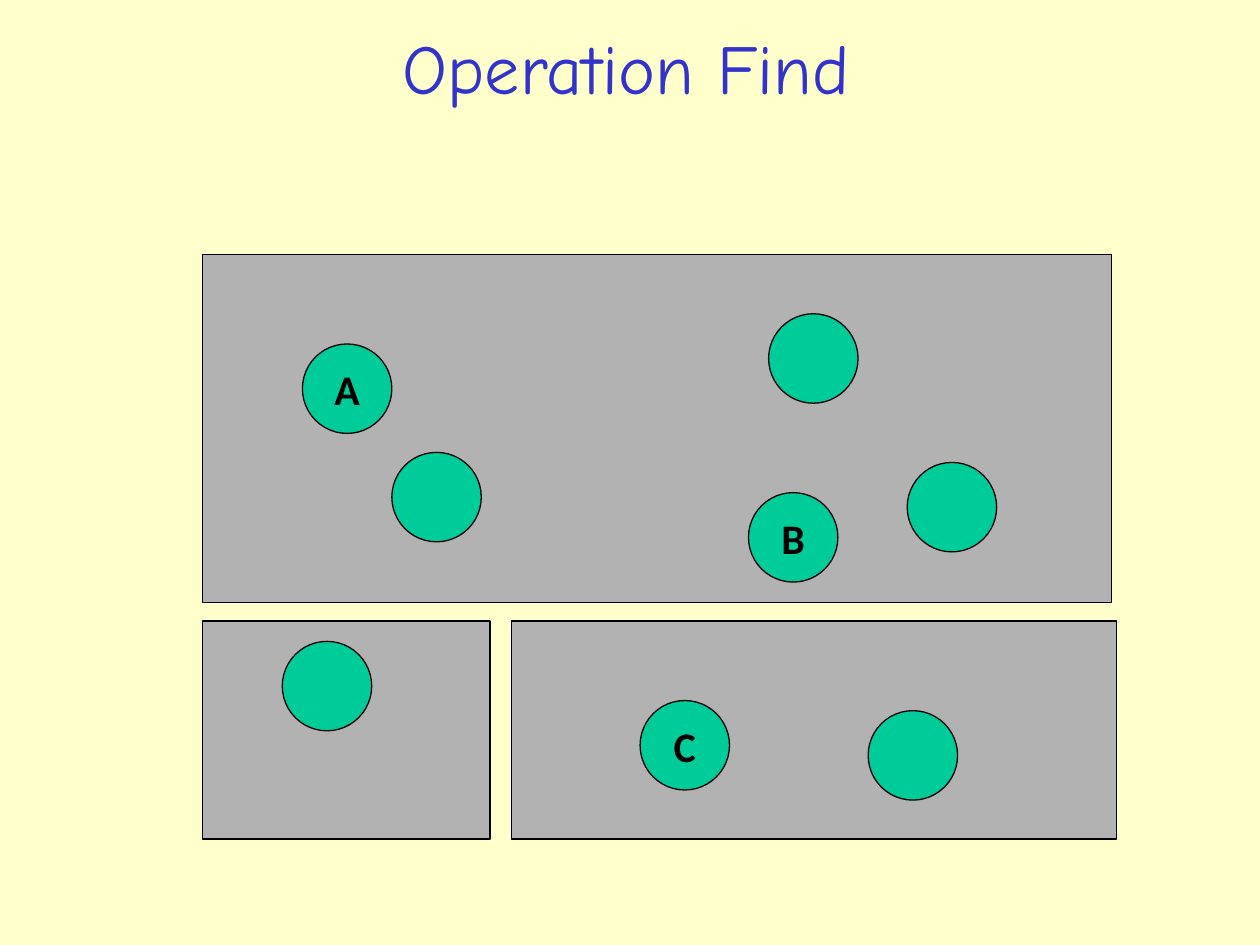
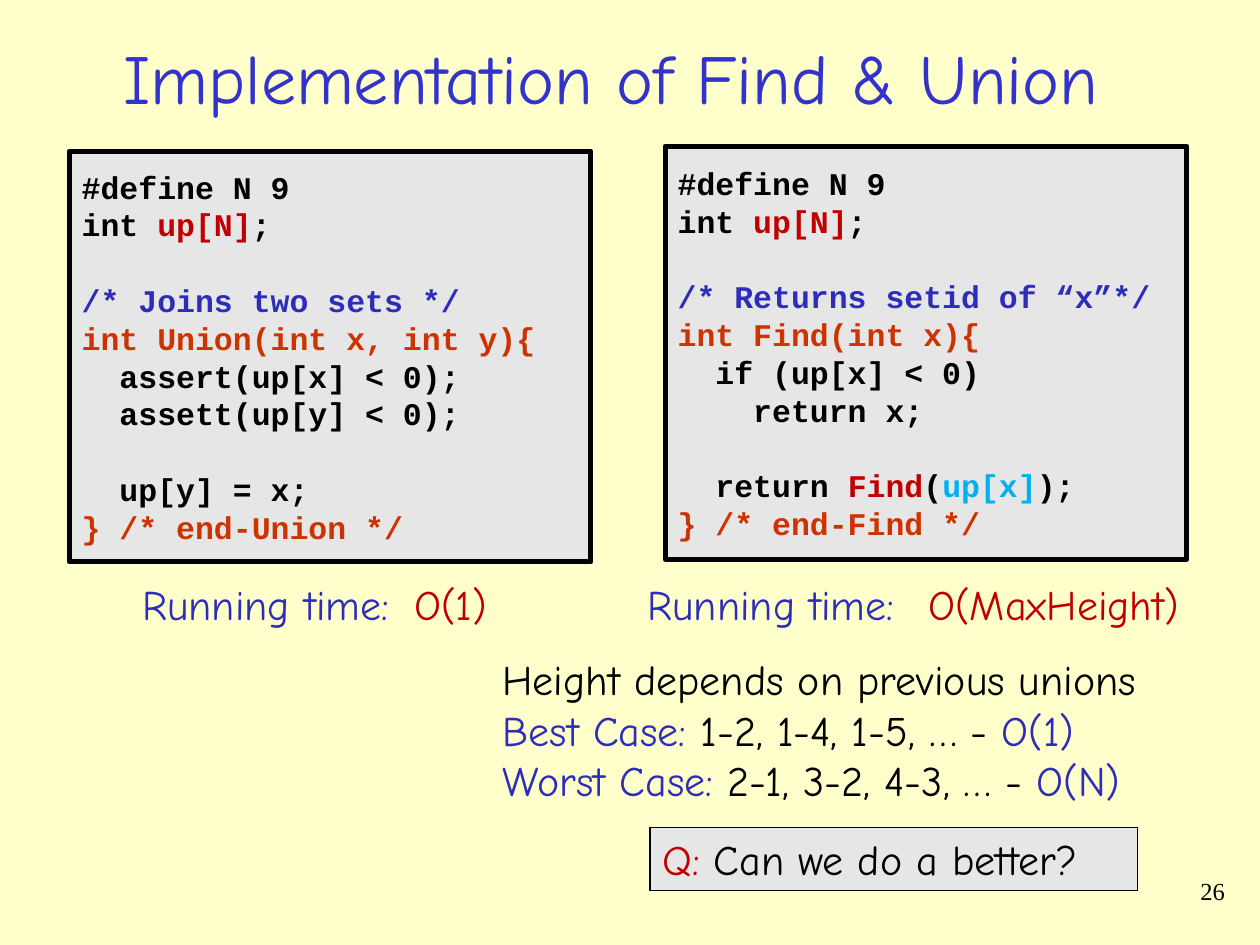
import pptx
import pptx.util
import pptx.dml.color
import pptx.enum.shapes
import pptx.enum.text

Inches = pptx.util.Inches
Pt = pptx.util.Pt
Kind = pptx.enum.shapes.MSO_SHAPE
Align = pptx.enum.text.PP_ALIGN
Anchor = pptx.enum.text.MSO_ANCHOR

CREAM, GRAY, PALE = "FFFFCC", "B2B2B2", "E6E6E6"
BLACK, GREEN, TITLE = "000000", "00CC99", "3333CC"
BLUE, RED, RUST, SKY = "2D2DB9", "C00000", "CC3300", "00B0F0"
HAND = "Comic Neue"
SIDE = 0.71


def color(code):
    return pptx.dml.color.RGBColor.from_string(code)


def write(frame, lines, size=24, face=HAND, bold=False, align=Align.LEFT,
          anchor=Anchor.TOP, wrap=True, lead=None):
    frame.word_wrap = wrap
    frame.auto_size = pptx.enum.text.MSO_AUTO_SIZE.NONE
    frame.vertical_anchor = anchor
    frame.margin_left = frame.margin_right = Inches(0.1)
    frame.margin_top = frame.margin_bottom = Inches(0.05)
    para, gap = None, False
    for line in lines:
        if not line:
            gap = True
            continue
        para = frame.add_paragraph() if para else frame.paragraphs[0]
        para.alignment = align
        if lead:
            para.line_spacing = Pt(lead)
        if gap:
            para.space_before = Pt(lead)
            gap = False
        for text, tint in line:
            run = para.add_run()
            run.text = text
            run.font.size = Pt(size)
            run.font.name = face
            run.font.bold = bold
            run.font.color.rgb = color(tint)


def shape(slide, kind, box, fill, width=0.75):
    item = slide.shapes.add_shape(kind, *map(Inches, box))
    item.shadow.inherit = False
    item.fill.solid()
    item.fill.fore_color.rgb = color(fill)
    item.line.color.rgb = color(BLACK)
    item.line.width = Pt(width)
    return item


def label(slide, box, lines, **style):
    item = slide.shapes.add_textbox(*map(Inches, box))
    write(item.text_frame, lines, **style)


def head(deck, text, box):
    slide = deck.slides.add_slide(deck.slide_layouts[5])
    title = slide.shapes.title
    title.left, title.top, title.width, title.height = map(Inches, box)
    write(title.text_frame, [[(text, TITLE)]], size=40,
          align=Align.CENTER, anchor=Anchor.MIDDLE)
    return slide


def node(slide, left, top, name):
    item = shape(slide, Kind.OVAL, (left, top, SIDE, SIDE), GREEN)
    if name:
        write(item.text_frame, [[(name, BLACK)]], face="Calibri", bold=True,
              align=Align.CENTER, anchor=Anchor.MIDDLE, wrap=False)


def code(slide, box, note, sign, body, end):
    lines = [
        [("#define N 9", BLACK)],
        [("int ", BLACK), ("up[N]", RED), (";", BLACK)],
        [],
        [(note, BLUE)],
        [(sign, RUST)],
        *body,
        [(end, RUST)],
    ]
    item = shape(slide, Kind.RECTANGLE, box, PALE, width=3)
    write(item.text_frame, lines, size=18, face="Courier New", bold=True,
          anchor=Anchor.MIDDLE, lead=21.6)


def cost(slide, left, start, width, order):
    for x, wide, text, tint in ((left, 2.16, "Running time:", BLUE),
                                (start, width, order, RED)):
        label(slide, (x, 4.54, wide, 0.5), [[(text, tint)]],
              wrap=False, lead=28.8)


def find(deck):
    slide = head(deck, "Operation Find", (0.72, 0.15, 8.5, 0.76))
    for box in ((4.06, 4.93, 4.8, 1.73), (1.61, 4.93, 2.28, 1.73),
                (1.61, 2.02, 7.21, 2.76)):
        shape(slide, Kind.RECTANGLE, box, GRAY)
    for left, top, name in ((2.4, 2.73, "A"), (6.1, 2.49, ""),
                            (7.2, 3.67, ""), (2.24, 5.09, ""),
                            (3.11, 3.59, ""), (5.94, 3.91, "B"),
                            (5.08, 5.56, "C"), (6.89, 5.64, "")):
        node(slide, left, top, name)


def union(deck):
    slide = head(deck, "Implementation of Find & Union",
                 (0.37, 0.26, 8.96, 0.69))
    label(slide, (7.74, 6.9, 2.08, 0.5), [[("26", BLACK)]], size=14,
          face="Times New Roman", align=Align.RIGHT)
    code(slide, (0.55, 1.2, 4.14, 3.26), "/* Joins two sets */",
         "int Union(int x, int y){",
         [[("  assert(up[x] < 0);", BLACK)],
          [("  assett(up[y] < 0);", BLACK)],
          [],
          [("  up[y] = x;", BLACK)]],
         "} /* end-Union */")
    code(slide, (5.28, 1.16, 4.14, 3.28), "/* Returns setid of “x”*/",
         "int Find(int x){",
         [[("  if (up[x] < 0)", BLACK)],
          [("    return x;", BLACK)],
          [],
          [("  return ", BLACK), ("Find", RED), ("(", BLACK),
           ("up[x]", SKY), (");", BLACK)]],
         "} /* end-Find */")
    cost(slide, 5.04, 7.27, 2.19, "O(MaxHeight)")
    cost(slide, 1.03, 3.19, 0.77, "O(1)")
    label(slide, (3.89, 5.14, 5.86, 1.3), [
        [("Height depends on previous unions", BLACK)],
        [("Best Case: ", BLUE), ("1-2, 1-4, 1-5, … - ", BLACK),
         ("O(1)", BLUE)],
        [("Worst Case: ", BLUE), ("2-1, 3-2, 4-3, … - ", BLACK),
         ("O(N)", BLUE)],
    ], lead=28.8)
    quiz = shape(slide, Kind.RECTANGLE, (5.16, 6.57, 3.87, 0.5), PALE)
    write(quiz.text_frame, [[("Q: ", RED), ("Can we do a better?", BLACK)]],
          lead=28.8)


def main():
    deck = pptx.Presentation()
    deck.slide_width, deck.slide_height = Inches(10), Inches(7.5)
    back = deck.slide_master.background.fill
    back.solid()
    back.fore_color.rgb = color(CREAM)
    find(deck)
    union(deck)
    deck.save("out.pptx")


if __name__ == "__main__":
    main()
